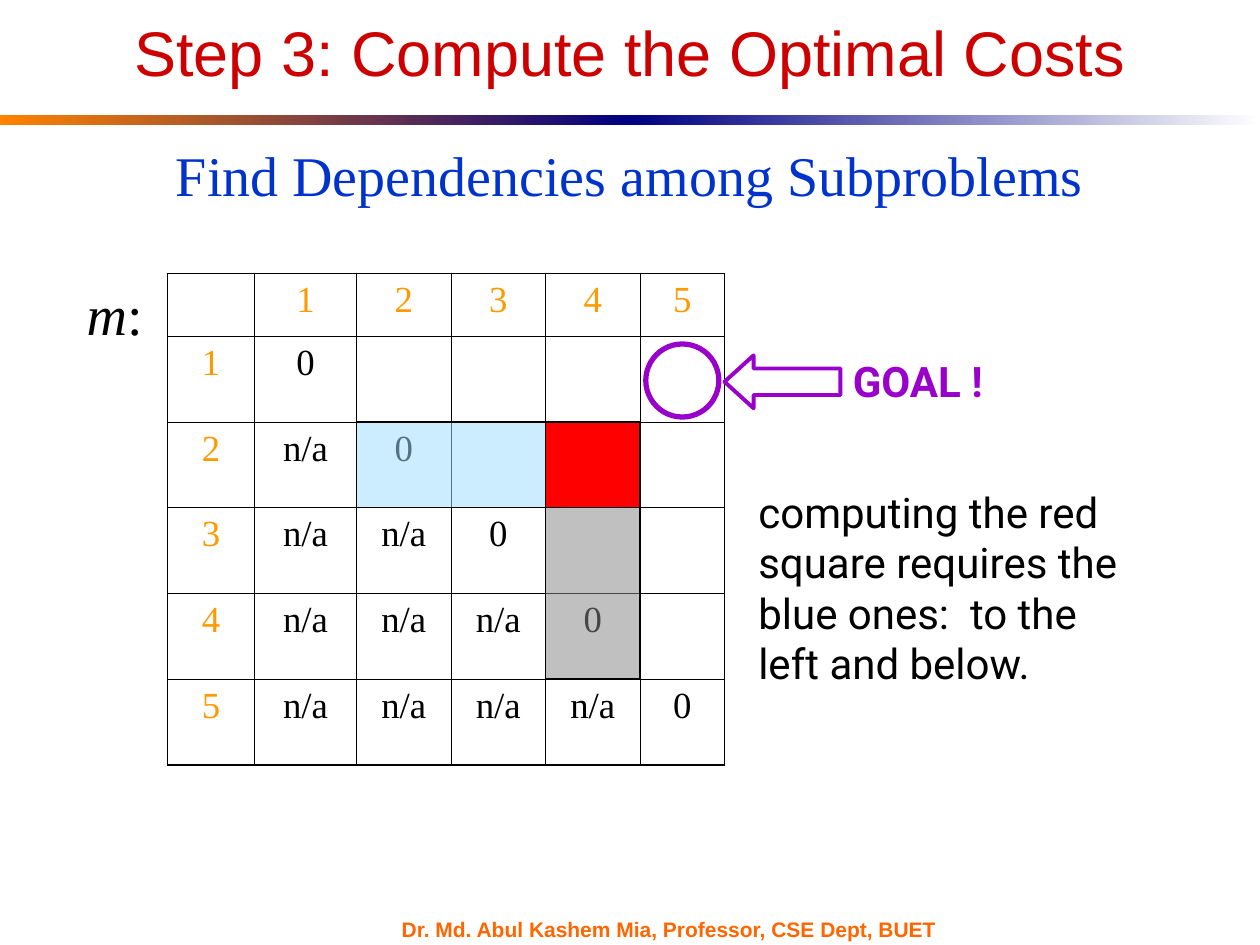
from lxml.etree import SubElement
from pptx import Presentation
from pptx.dml.color import RGBColor
from pptx.enum.shapes import MSO_SHAPE
from pptx.enum.text import MSO_ANCHOR, MSO_AUTO_SIZE, PP_ALIGN
from pptx.oxml import parse_xml
from pptx.oxml.ns import nsdecls, qn
from pptx.util import Inches, Pt

COLORS = {
    "title": "CC0000", "subtitle": "0033CC", "index": "FF9900", "text": "000000",
    "goal": "9900CC", "footer": "FF6600", "target": "FF0000", "left": "9EDBFF",
    "below": "878787", "orange": "FF8200", "navy": "000082", "white": "FFFFFF",
}
SERIF = "Times New Roman"
COLUMNS = [0.69, 0.81, 0.75, 0.75, 0.75, 0.67]
ROWS = [0.5] + [0.68] * 5


def color(name):
    """Return the named colour."""
    return RGBColor.from_string(COLORS[name])


def write(paragraph, text, size=24, font="Roboto", tone="text", bold=False,
          italic=False, align=PP_ALIGN.LEFT, before=0):
    """Add one formatted run to a paragraph."""
    paragraph.alignment = align
    paragraph.space_before = Pt(before)
    run = paragraph.add_run()
    run.text = text
    run.font.size = Pt(size)
    run.font.name = font
    run.font.bold = bold
    run.font.italic = italic
    run.font.color.rgb = color(tone)


def add_text(slide, box, lines, wrap=True, anchor=MSO_ANCHOR.TOP, **style):
    """Add a text box with one paragraph a line and return its text frame."""
    frame = slide.shapes.add_textbox(*map(Inches, box)).text_frame
    frame.word_wrap = wrap
    frame.vertical_anchor = anchor
    for number, line in enumerate(lines):
        paragraph = frame.add_paragraph() if number else frame.paragraphs[0]
        write(paragraph, line, **style)
    return frame


def add_figure(slide, kind, box, fill=None, line=None, width=0.75, alpha=None):
    """Add a preset shape with an optional fill, outline and opacity."""
    shape = slide.shapes.add_shape(kind, *map(Inches, box))
    shape.shadow.inherit = False
    if fill:
        shape.fill.solid()
        shape.fill.fore_color.rgb = color(fill)
    else:
        shape.fill.background()
    if line:
        shape.line.color.rgb = color(line)
        shape.line.width = Pt(width)
    else:
        shape.line.fill.background()
    if alpha:
        tint = shape.fill._xPr.find(qn("a:solidFill"))[0]
        SubElement(tint, qn("a:alpha"), val=str(alpha * 1000))
    return shape


def add_rule(slide, box):
    """Add the two-part gradient rule."""
    left, top, width, height = box
    half = width / 2
    for number, tones in enumerate([("orange", "navy"), ("navy", "white")]):
        part = (left + number * half, top, half, height)
        fill = add_figure(slide, MSO_SHAPE.RECTANGLE, part).fill
        fill.gradient()
        fill.gradient_angle = 0
        for stop, tone in zip(fill.gradient_stops, tones):
            stop.color.rgb = color(tone)


def add_heading(slide, box):
    """Fill the title placeholder and add the subtitle below the rule."""
    left, top, width, height = box
    title = slide.shapes.title
    title.left, title.top = Inches(left), Inches(top)
    title.width, title.height = Inches(width), Inches(height)
    frame = title.text_frame
    frame.auto_size = MSO_AUTO_SIZE.NONE
    frame.vertical_anchor = MSO_ANCHOR.BOTTOM
    write(frame.paragraphs[0], "Step 3: Compute the Optimal Costs", size=36,
          font="Arial", tone="title", align=PP_ALIGN.CENTER)
    add_text(slide, (1.29, 1.07, 7.41, 0.63), ["Find Dependencies among Subproblems"],
             wrap=False, size=32, font=SERIF, tone="subtitle", align=PP_ALIGN.RIGHT)


def cost_text(row, column):
    """Return the text of one cell of the cost table."""
    if row == 0 or column == 0:
        return str(row + column) if row + column else ""
    if row == column:
        return "0"
    return "n/a" if column < row else ""


def set_borders(cell, widths):
    """Draw the left, right, top and bottom border of a cell."""
    properties = cell._tc.get_or_add_tcPr()
    for number, (side, width) in enumerate(zip("LRTB", widths)):
        properties.insert(number, parse_xml(
            f'<a:ln{side} {nsdecls("a")} w="{Pt(width)}"><a:solidFill>'
            f'<a:srgbClr val="{COLORS["text"]}"/></a:solidFill></a:ln{side}>'))


def add_cost_table(slide, box):
    """Add the table of subproblem costs and its label."""
    left, top, width, height = box
    label = add_text(slide, (left - 0.74, top, 0.74, 0.64), ["m"],
                     size=32, font=SERIF, italic=True)
    write(label.paragraphs[0], ":", size=32, font=SERIF)
    table = slide.shapes.add_table(len(ROWS), len(COLUMNS), *map(Inches, box)).table
    table.first_row = table.horz_banding = False
    for column, size in zip(table.columns, COLUMNS):
        column.width = Inches(size)
    for row, size in zip(table.rows, ROWS):
        row.height = Inches(size)
    last_row, last_column = len(ROWS) - 1, len(COLUMNS) - 1
    for row in range(len(ROWS)):
        for column in range(len(COLUMNS)):
            cell = table.cell(row, column)
            cell.fill.background()
            edges = (column == 0, column == last_column, row == 0, row == last_row)
            set_borders(cell, [1.08 if edge else 0.45 for edge in edges])
            text = cost_text(row, column)
            if text:
                write(cell.text_frame.paragraphs[0], text, size=21, font=SERIF,
                      tone="text" if row and column else "index",
                      align=PP_ALIGN.CENTER, before=5.2)


def cell_box(box, row, column, rows=1, columns=1):
    """Return the box that a block of table cells covers."""
    return (box[0] + sum(COLUMNS[:column]), box[1] + sum(ROWS[:row]),
            sum(COLUMNS[column:column + columns]), sum(ROWS[row:row + rows]))


def add_goal(slide, box):
    """Circle the goal cell and point at it from the right."""
    left, top, width, height = box
    size = 0.58
    middle = top + height / 2 + 0.01
    circle = (left + (width - size) / 2, middle - size / 2, size, size)
    add_figure(slide, MSO_SHAPE.OVAL, circle, line="goal", width=3)
    arrow = add_figure(slide, MSO_SHAPE.LEFT_ARROW,
                       (left + width, middle - 0.2, 0.92, 0.42), line="goal", width=2.25)
    arrow.adjustments[1] = 0.55
    add_text(slide, (left + width + 0.92, middle - 0.25, 1.28, 0.5), ["GOAL !"],
             tone="goal", bold=True)


def add_dependencies(slide, box):
    """Mark the target cell and the cells it needs, and explain them."""
    marks = [("target", None, (2, 4)), ("left", 52, (2, 2, 1, 2)),
             ("below", 52, (3, 4, 2, 1))]
    for tone, alpha, block in marks:
        add_figure(slide, MSO_SHAPE.RECTANGLE, cell_box(box, *block), fill=tone,
                   line="text", alpha=alpha)
    add_text(slide, (5.92, 3.81, 3.28, 1.7),
             ["computing the red", "square requires the", "blue ones:  to the",
              "left and below."])


def main():
    """Build and save the slide."""
    presentation = Presentation()
    presentation.slide_width, presentation.slide_height = Inches(10), Inches(7.5)
    slide = presentation.slides.add_slide(presentation.slide_layouts[5])
    table_box = (1.33, 2.17, sum(COLUMNS), sum(ROWS))
    add_rule(slide, (0, 0.91, 10, 0.08))
    add_text(slide, (3.09, 7.28, 4.67, 0.18),
             ["Dr. Md. Abul Kashem Mia, Professor, CSE Dept, BUET"],
             anchor=MSO_ANCHOR.MIDDLE, size=12, font="Arial", tone="footer", bold=True)
    add_cost_table(slide, table_box)
    add_goal(slide, cell_box(table_box, 1, 5))
    add_dependencies(slide, table_box)
    add_heading(slide, (0.5, 0.25, 9, 0.51))
    presentation.save("out.pptx")


if __name__ == "__main__":
    main()
